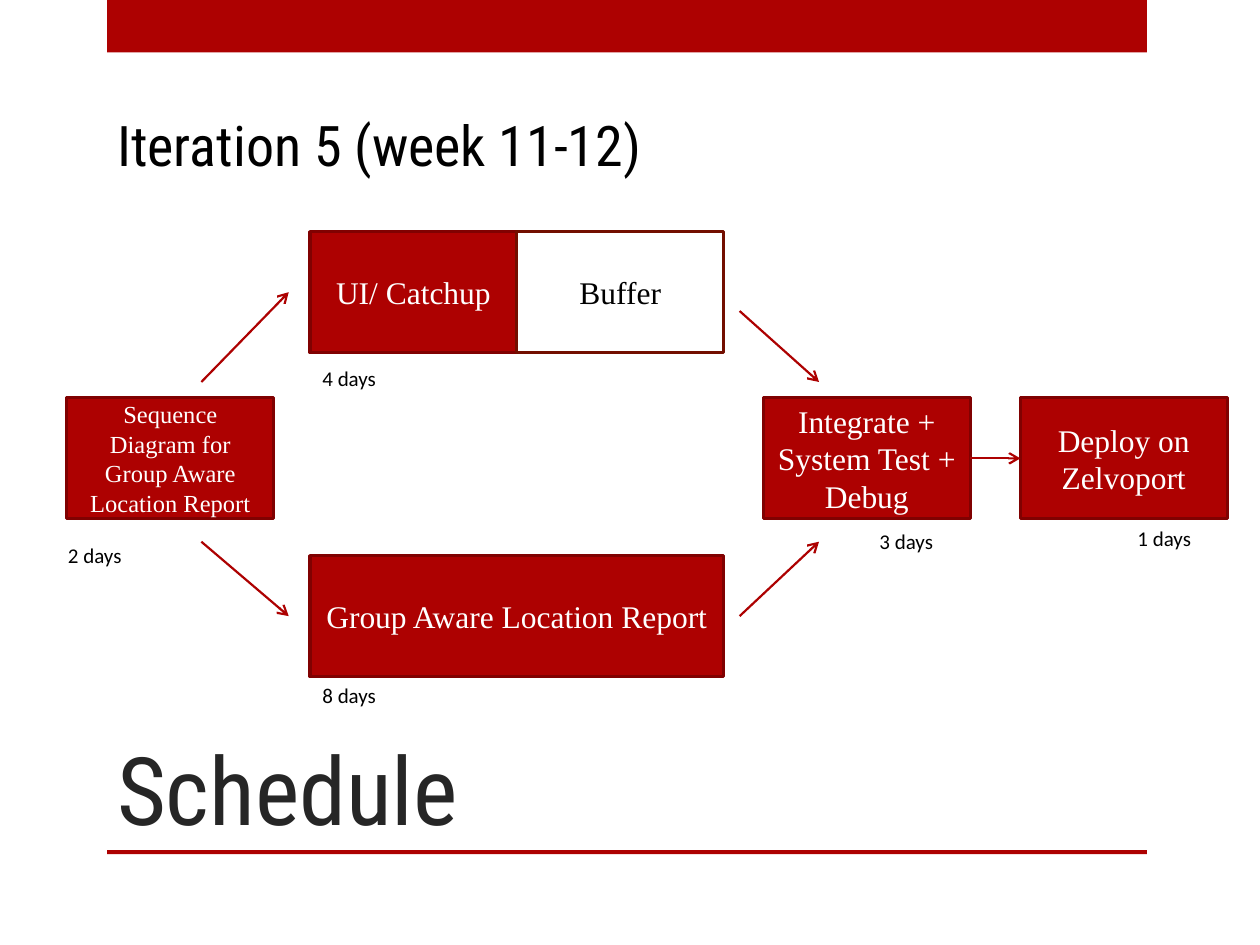
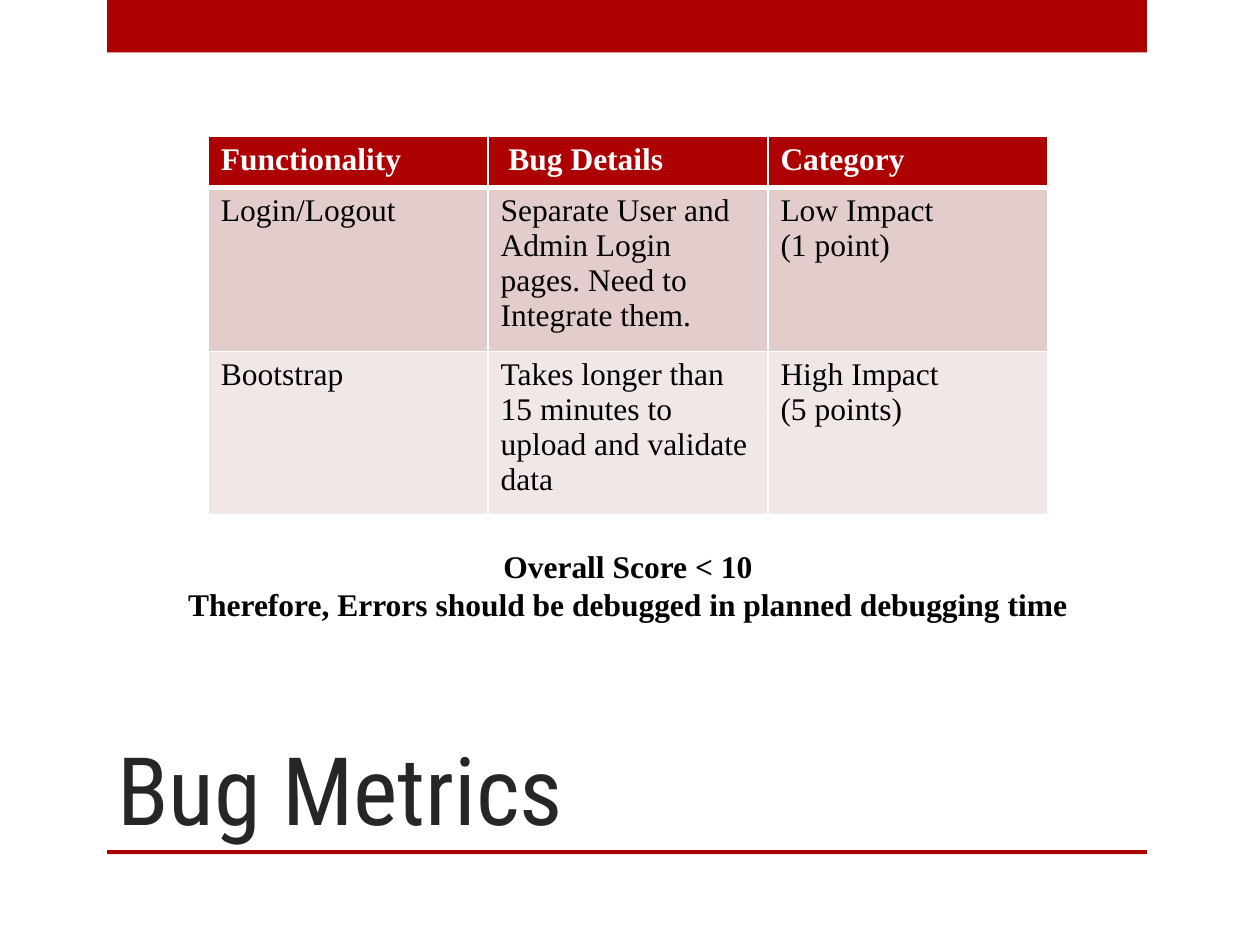
"""Build the schedule and bug metrics slides."""
from dataclasses import dataclass

from lxml.etree import SubElement
from pptx import Presentation
from pptx.dml.color import RGBColor
from pptx.enum.shapes import MSO_CONNECTOR, MSO_SHAPE
from pptx.enum.text import MSO_ANCHOR, PP_ALIGN
from pptx.oxml.ns import qn
from pptx.shapes.autoshape import Shape
from pptx.slide import Slide
from pptx.table import _Cell as Cell
from pptx.text.text import TextFrame
from pptx.util import Cm, Pt

RED = "AD0101"
DARK_RED = "800101"
BROWN = "730E00"
WHITE = "FFFFFF"
BLACK = "000000"
CHARCOAL = "262626"
ROW_FILLS = [RED, "E3CCCC", "F1E7E7"]

DISPLAY = "Roboto Condensed"
SERIF = "Times New Roman"
SANS = "Calibri"

NODE_WIDTH, NODE_HEIGHT = 4.17, 2.44
TOP_ROW, MIDDLE_ROW, BOTTOM_ROW = 4.67, 8.02, 11.2
START_X, WORK_X, TEST_X, DEPLOY_X = 1.35, 6.25, 15.39, 20.57
ROW_HEIGHT = 1.03


@dataclass(frozen=True)
class Area:
    """A rectangle in centimetres."""
    left: float
    top: float
    width: float
    height: float

    def lengths(self) -> tuple[Cm, Cm, Cm, Cm]:
        """Return the four sides as lengths."""
        return Cm(self.left), Cm(self.top), Cm(self.width), Cm(self.height)


@dataclass(frozen=True)
class Style:
    """The look of a text."""
    font: str
    size: float
    color: str = BLACK
    bold: bool = False
    align: PP_ALIGN = PP_ALIGN.LEFT


@dataclass(frozen=True)
class Node:
    """A task in the schedule."""
    text: str
    left: float
    top: float
    columns: int = 1
    size: float = 18
    fill: str = RED
    outline: str = DARK_RED
    color: str = WHITE


@dataclass(frozen=True)
class Arrow:
    """A link between two points in centimetres."""
    start: tuple[float, float]
    end: tuple[float, float]


@dataclass(frozen=True)
class Duration:
    """A length of time shown beside a task."""
    text: str
    left: float
    top: float


TITLE = Style(DISPLAY, 54, CHARCOAL)
HEADING = Style(DISPLAY, 32)
DURATION = Style(SANS, 12)
CONCLUSION = Style(SERIF, 18, bold=True, align=PP_ALIGN.CENTER)
TABLE_HEAD = Style(SERIF, 18, WHITE, bold=True)
TABLE_BODY = Style(SERIF, 18)

NODES = [
    Node("Sequence Diagram for Group Aware Location Report", START_X, MIDDLE_ROW, size=14),
    Node("UI/ Catchup", WORK_X, TOP_ROW),
    Node("Group Aware Location Report", WORK_X, BOTTOM_ROW, columns=2),
    Node("Buffer", WORK_X + NODE_WIDTH, TOP_ROW, fill=WHITE, outline=BROWN, color=BLACK),
    Node("Integrate + System Test + Debug", TEST_X, MIDDLE_ROW),
    Node("Deploy on Zelvoport", DEPLOY_X, MIDDLE_ROW),
]
MIDDLE_Y = MIDDLE_ROW + NODE_HEIGHT / 2
ARROWS = [
    Arrow((4.06, 7.7), (5.82, 5.89)),
    Arrow((4.06, 10.92), (5.82, 12.42)),
    Arrow((14.91, 6.27), (16.51, 7.7)),
    Arrow((14.91, 12.42), (16.51, 10.92)),
    Arrow((TEST_X + NODE_WIDTH, MIDDLE_Y), (DEPLOY_X, MIDDLE_Y)),
]
DURATIONS = [
    Duration("2 days", 1.12, 10.82),
    Duration("4 days", WORK_X, 7.24),
    Duration("8 days", WORK_X, 13.64),
    Duration("3 days", 17.48, 10.54),
    Duration("1 days", 22.68, 10.46),
]
BUGS = [
    [["Functionality"], ["Bug Details"], ["Category"]],
    [["Login/Logout"],
     ["Separate User and Admin Login pages. Need to Integrate them."],
     ["Low Impact", "(1 point)"]],
    [["Bootstrap"],
     ["Takes longer than 15 minutes to upload and validate data"],
     ["High Impact", "(5 points)"]],
]


def rgb(value: str) -> RGBColor:
    """Turn a hex string into a colour."""
    return RGBColor.from_string(value)


def write(frame: TextFrame, lines: list[str], style: Style) -> None:
    """Write one paragraph for each line."""
    frame.word_wrap = True
    for index, line in enumerate(lines):
        para = frame.add_paragraph() if index else frame.paragraphs[0]
        para.alignment = style.align
        span = para.add_run()
        span.text = line
        span.font.name = style.font
        span.font.size = Pt(style.size)
        span.font.bold = style.bold
        span.font.color.rgb = rgb(style.color)


def add_text(page: Slide, area: Area, lines: list[str], style: Style) -> Shape:
    """Add a text box."""
    box = page.shapes.add_textbox(*area.lengths())
    write(box.text_frame, lines, style)
    return box


def add_block(page: Slide, area: Area, fill: str) -> Shape:
    """Add a plain rectangle."""
    block = page.shapes.add_shape(MSO_SHAPE.RECTANGLE, *area.lengths())
    block.shadow.inherit = False
    block.fill.solid()
    block.fill.fore_color.rgb = rgb(fill)
    block.line.fill.background()
    return block


def add_page(deck: Presentation, title: str) -> Slide:
    """Add a slide with the shared band, rule and title."""
    page = deck.slides.add_slide(deck.slide_layouts[6])
    add_block(page, Area(2.16, 0, 20.96, 1.06), RED)
    add_block(page, Area(2.16, 17.14, 20.96, 0.08), RED)
    box = add_text(page, Area(2.11, 12.7, 18.85, 4.45), [title], TITLE)
    box.text_frame.vertical_anchor = MSO_ANCHOR.BOTTOM
    return page


def add_node(page: Slide, node: Node) -> None:
    """Draw a task box."""
    area = Area(node.left, node.top, node.columns * NODE_WIDTH, NODE_HEIGHT)
    block = add_block(page, area, node.fill)
    block.line.color.rgb = rgb(node.outline)
    block.line.width = Pt(1.75)
    block.text_frame.vertical_anchor = MSO_ANCHOR.MIDDLE
    style = Style(SERIF, node.size, node.color, align=PP_ALIGN.CENTER)
    write(block.text_frame, [node.text], style)


def add_arrow(page: Slide, arrow: Arrow) -> None:
    """Draw a line with an open arrowhead at its end."""
    points = [Cm(value) for value in (*arrow.start, *arrow.end)]
    link = page.shapes.add_connector(MSO_CONNECTOR.STRAIGHT, *points)
    link.line.color.rgb = rgb(RED)
    link.line.width = Pt(1.25)
    properties = link.element.spPr
    SubElement(properties.find(qn("a:ln")), qn("a:tailEnd"), type="arrow")
    SubElement(properties, qn("a:effectLst"))


def add_borders(cell: Cell, widths: dict[str, float]) -> None:
    """Give a cell white borders with the widths in points."""
    properties = cell._tc.get_or_add_tcPr()
    for side, width in widths.items():
        line = SubElement(properties, qn(f"a:ln{side}"), w=str(Pt(width)))
        fill = SubElement(line, qn("a:solidFill"))
        SubElement(fill, qn("a:srgbClr"), val=WHITE)


def add_bug_table(page: Slide) -> None:
    """Draw the table of bugs."""
    area = Area(4.2, 2.75, 16.92, 7.65)
    rows, columns = len(BUGS), len(BUGS[0])
    holder = page.shapes.add_table(rows, columns, *area.lengths())
    table = holder.table
    for column in table.columns:
        column.width = Cm(area.width / columns)
    for row_index, row in enumerate(BUGS):
        table.rows[row_index].height = Cm(ROW_HEIGHT)
        widths = {"L": 1, "R": 1,
                  "T": 3 if row_index == 1 else 1,
                  "B": 3 if row_index == 0 else 1}
        for column_index, lines in enumerate(row):
            cell = table.cell(row_index, column_index)
            add_borders(cell, widths)
            cell.fill.solid()
            cell.fill.fore_color.rgb = rgb(ROW_FILLS[row_index])
            write(cell.text_frame, lines, TABLE_BODY if row_index else TABLE_HEAD)
    table.cell(0, 1).margin_left = Cm(0.41)
    holder.height = Cm(area.height)


def build_schedule(deck: Presentation) -> None:
    """Build the schedule slide."""
    page = add_page(deck, "Schedule")
    add_text(page, Area(2.11, 2.11, 12.8, 1.63), ["Iteration 5 (week 11-12)"], HEADING)
    for node in NODES:
        add_node(page, node)
    for arrow in ARROWS:
        add_arrow(page, arrow)
    for duration in DURATIONS:
        area = Area(duration.left, duration.top, 2.08, 0.76)
        add_text(page, area, [duration.text], DURATION)


def build_bug_metrics(deck: Presentation) -> None:
    """Build the bug metrics slide."""
    page = add_page(deck, "Bug Metrics")
    add_bug_table(page)
    lines = ["Overall Score < 10",
             "Therefore, Errors should be debugged in planned debugging time"]
    add_text(page, Area(3.4, 10.9, 18.52, 1.8), lines, CONCLUSION)


def main() -> None:
    """Build and save the deck."""
    deck = Presentation()
    deck.slide_width, deck.slide_height = Cm(25.4), Cm(19.05)
    build_schedule(deck)
    build_bug_metrics(deck)
    deck.save("out.pptx")


main()
